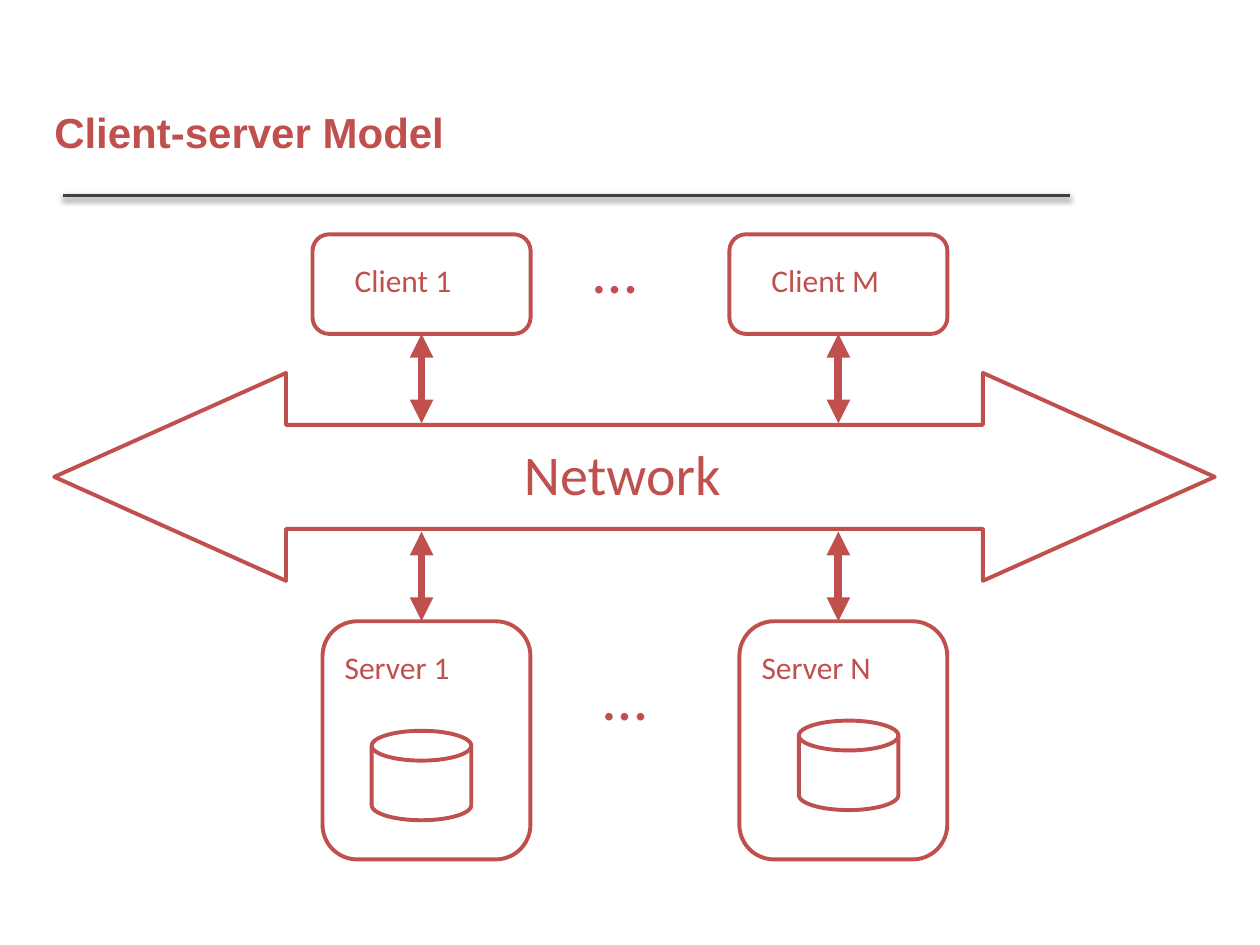
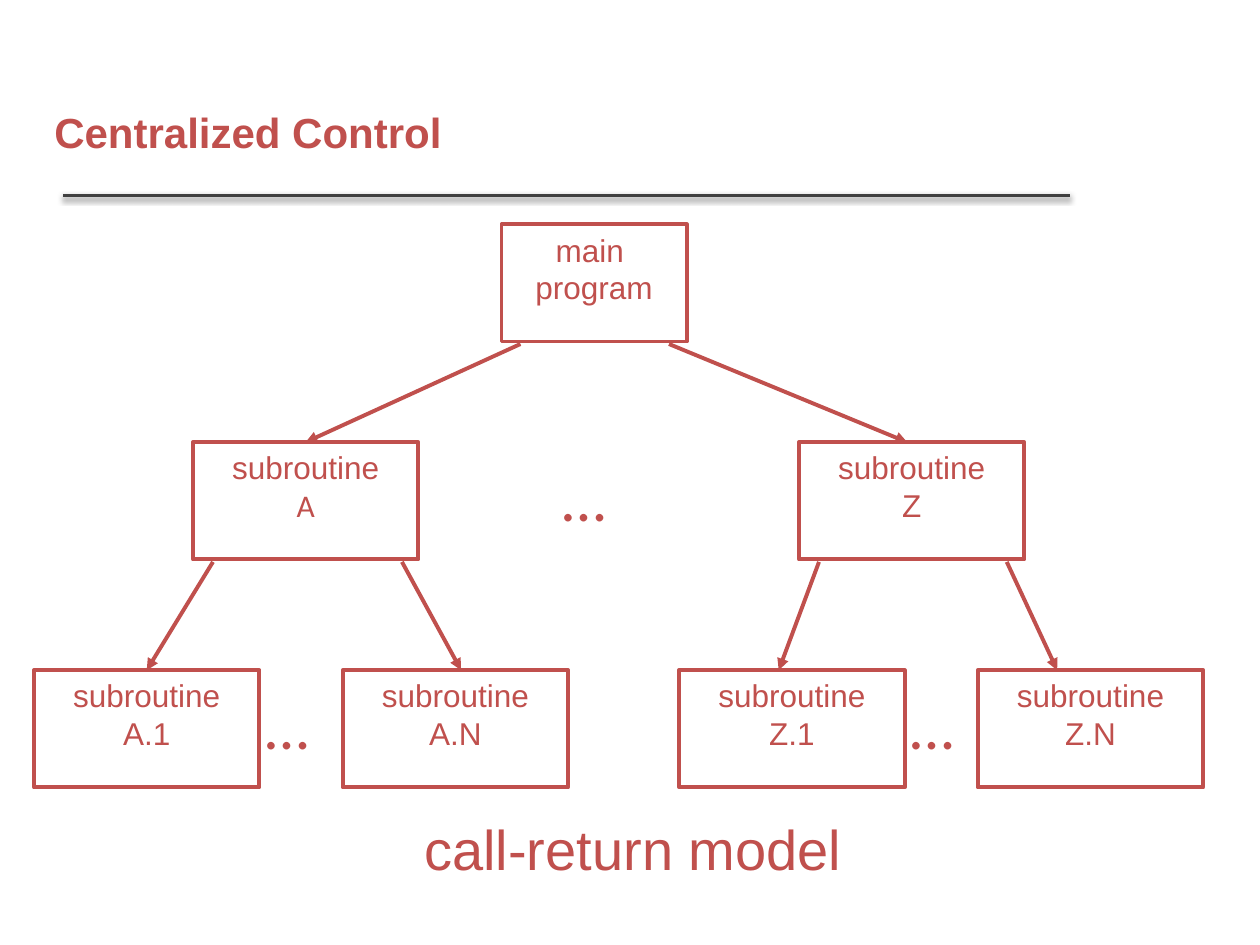
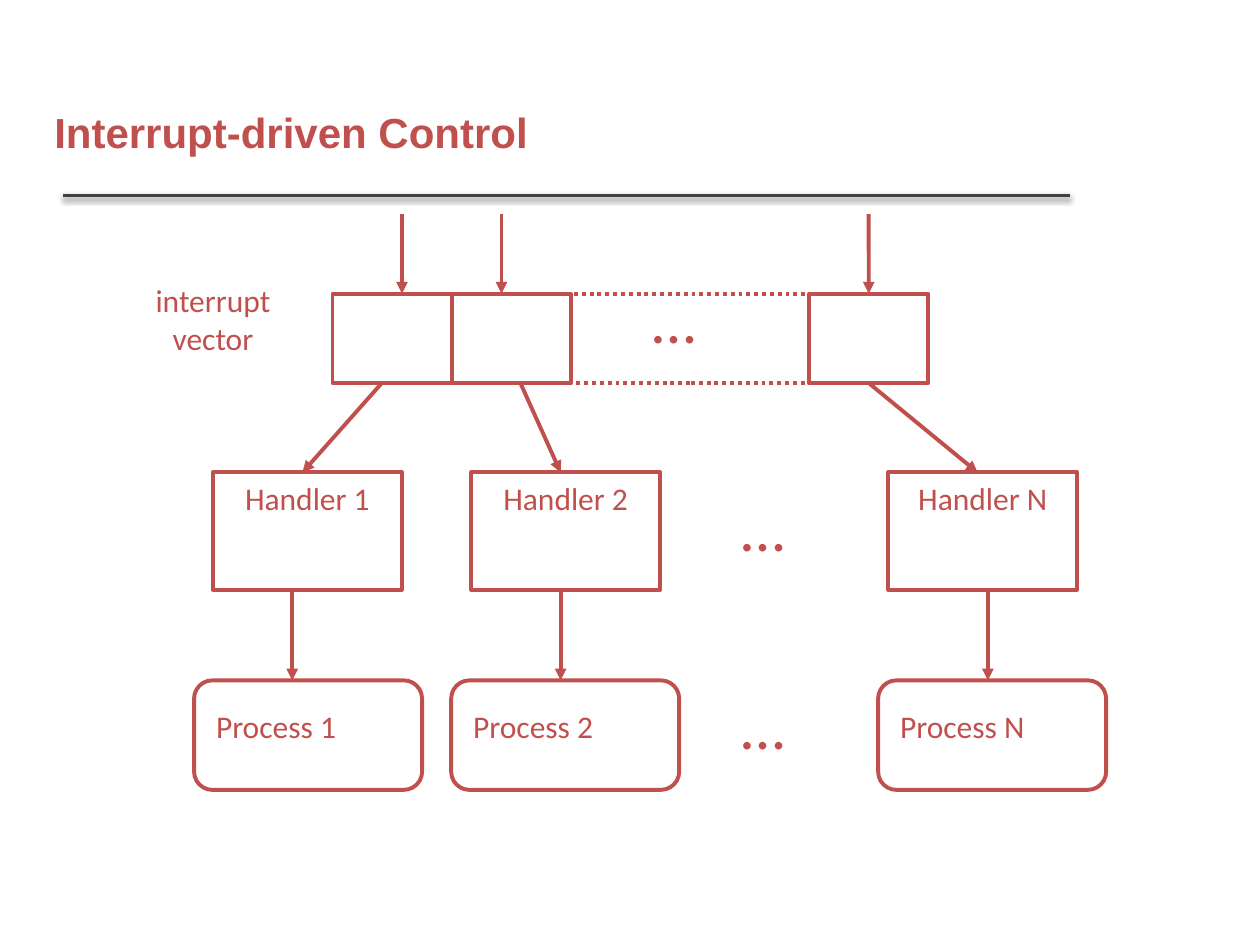
from dataclasses import dataclass

from lxml.etree import SubElement
from pptx import Presentation
from pptx.dml.color import RGBColor
from pptx.enum.dml import MSO_LINE
from pptx.enum.shapes import MSO_CONNECTOR, MSO_SHAPE
from pptx.enum.text import MSO_ANCHOR, PP_ALIGN
from pptx.oxml.ns import qn
from pptx.presentation import Presentation as Deck
from pptx.shapes.autoshape import Shape
from pptx.shapes.connector import Connector
from pptx.slide import Slide, SlideLayout
from pptx.text.text import TextFrame
from pptx.util import Pt

RECTANGLE = MSO_SHAPE.RECTANGLE
ROUNDED = MSO_SHAPE.ROUNDED_RECTANGLE
DOUBLE_ARROW = MSO_SHAPE.LEFT_RIGHT_ARROW
DISK = MSO_SHAPE.FLOWCHART_MAGNETIC_DISK
STRAIGHT = MSO_CONNECTOR.STRAIGHT
DOTTED = MSO_LINE.ROUND_DOT
TOP = MSO_ANCHOR.TOP
MIDDLE = MSO_ANCHOR.MIDDLE
LEFT = PP_ALIGN.LEFT
CENTER = PP_ALIGN.CENTER

RED = "C0504D"
GRAY = "404040"
HEADING_FONT = "Arial"
BODY_FONT = "Calibri"
OUTLINE = 2.25
JOIN_DISTANCE = 2
DOTS_SIZE = 50.4


@dataclass(frozen=True)
class Box:
    left: float
    top: float
    width: float
    height: float
    text: str = ""
    font: str = BODY_FONT
    last_font: str = ""
    kind: MSO_SHAPE = RECTANGLE
    dotted: bool = False


@dataclass(frozen=True)
class Label:
    left: float
    top: float
    width: float
    height: float
    text: str
    size: float = 18
    font: str = BODY_FONT
    align: PP_ALIGN = LEFT


@dataclass(frozen=True)
class Link:
    start_x: float
    start_y: float
    end_x: float
    end_y: float
    width: float = OUTLINE
    two_way: bool = False


def color(value: str) -> RGBColor:
    return RGBColor.from_string(value)


def write_text(frame: TextFrame, text: str, *, size: float = 18, font: str = BODY_FONT,
               last_font: str = "", bold: bool = False, align: PP_ALIGN = LEFT,
               anchor: MSO_ANCHOR = TOP) -> None:
    frame.word_wrap = True
    frame.vertical_anchor = anchor
    lines = text.split("\n")
    for index, line in enumerate(lines):
        para = frame.add_paragraph() if index else frame.paragraphs[0]
        para.alignment = align
        span = para.add_run()
        span.text = line
        is_last = index == len(lines) - 1
        span.font.name = last_font if last_font and is_last else font
        span.font.size = Pt(size)
        span.font.bold = bold
        span.font.color.rgb = color(RED)


def draw_box(page: Slide, box: Box) -> Shape:
    shape = page.shapes.add_shape(box.kind, Pt(box.left), Pt(box.top), Pt(box.width), Pt(box.height))
    shape.shadow.inherit = False
    shape.fill.background()
    shape.line.color.rgb = color(RED)
    shape.line.width = Pt(OUTLINE)
    if box.dotted:
        shape.line.dash_style = DOTTED
    if box.text:
        write_text(shape.text_frame, box.text, font=box.font, last_font=box.last_font, align=CENTER)
    return shape


def draw_label(page: Slide, label: Label) -> None:
    shape = page.shapes.add_textbox(Pt(label.left), Pt(label.top), Pt(label.width), Pt(label.height))
    write_text(shape.text_frame, label.text, size=label.size, font=label.font, align=label.align)


def draw_dots(page: Slide, left: float, top: float) -> None:
    draw_label(page, Label(left, top, DOTS_SIZE, DOTS_SIZE, "…", size=36))


def draw_line(page: Slide, link: Link, line_color: str) -> Connector:
    line = page.shapes.add_connector(STRAIGHT, Pt(link.start_x), Pt(link.start_y),
                                     Pt(link.end_x), Pt(link.end_y))
    line.line.color.rgb = color(line_color)
    line.line.width = Pt(link.width)
    SubElement(line.element.spPr, qn("a:effectLst"))
    return line


def site_at(shape: Shape, x: float, y: float) -> int | None:
    middle_x = shape.left + shape.width / 2
    middle_y = shape.top + shape.height / 2
    sites = [(middle_x, shape.top), (shape.left, middle_y),
             (middle_x, shape.top + shape.height), (shape.left + shape.width, middle_y)]
    for number, (site_x, site_y) in enumerate(sites):
        if max(abs(site_x - Pt(x)), abs(site_y - Pt(y))) <= Pt(JOIN_DISTANCE):
            return number
    return None


def draw_arrow(page: Slide, link: Link, shapes: list[Shape]) -> None:
    arrow = draw_line(page, link, RED)
    outline = arrow.element.spPr.find(qn("a:ln"))
    if link.two_way:
        SubElement(outline, qn("a:headEnd"), type="triangle")
    SubElement(outline, qn("a:tailEnd"), type="triangle")
    for shape in shapes:
        start = site_at(shape, link.start_x, link.start_y)
        end = site_at(shape, link.end_x, link.end_y)
        if start is not None:
            arrow.begin_connect(shape, start)
        if end is not None:
            arrow.end_connect(shape, end)


def add_rule_to_layout(page: Slide, layout: SlideLayout) -> None:
    rule = draw_line(page, Link(36, 111.6, 611.3, 111.6, width=2), GRAY)
    effects = rule.element.spPr.find(qn("a:effectLst"))
    shadow = SubElement(effects, qn("a:outerShdw"), blurRad=str(Pt(3.1)), dist=str(Pt(1.6)),
                        dir="5400000", rotWithShape="0")
    shade = SubElement(shadow, qn("a:srgbClr"), val="000000")
    SubElement(shade, qn("a:alpha"), val="38000")
    rule.element.nvCxnSpPr.cNvPr.set("id", "20")
    layout.shapes.element.append(rule.element)


def add_page(deck: Deck, layout: SlideLayout, title: str) -> Slide:
    page = deck.slides.add_slide(layout)
    write_text(page.shapes.title.text_frame, title, size=24, font=HEADING_FONT,
               bold=True, anchor=MIDDLE)
    return page


def draw_client_server(page: Slide) -> None:
    network = draw_box(page, Box(31, 213.1, 663.1, 118.8, kind=DOUBLE_ARROW))
    network.adjustments[0] = 0.5
    network.adjustments[1] = 1.115
    draw_label(page, Label(292.3, 247.7, 170, 45.4, "Network", size=32))
    columns = [("1", 0, 417.6, 212.4), ("M", 238.2, 411.8, 456.5)]
    for (client, shift, disk_top, disk_left), server in zip(columns, ("1", "N")):
        client_box = draw_box(page, Box(178.6 + shift, 133.9, 124.6, 56.9, kind=ROUNDED))
        draw_label(page, Label(195.6 + shift, 145.4, 102, 36, f"Client {client}"))
        draw_box(page, Box(184.3 + shift, 355, 118.8, 136.1, kind=ROUNDED))
        draw_label(page, Label(189.9 + shift, 366.5, 108, 36, f"Server {server}"))
        draw_box(page, Box(disk_left, disk_top, 56.9, 51.1, kind=DISK))
        for top in (190.8, 303.8):
            middle = 240.9 + shift
            link = Link(middle, top, middle, top + 51.1, width=4.5, two_way=True)
            draw_arrow(page, link, [client_box])
    draw_dots(page, 331.9, 128.2)
    draw_dots(page, 337.7, 372.2)


def draw_call_return(page: Slide) -> None:
    width, height = 128.9, 67
    routines = [
        Box(286.6, 128.2, 105.8, height, "main \nprogram", HEADING_FONT),
        Box(110.2, 252.7, width, height, "subroutine\nA", HEADING_FONT, BODY_FONT),
        Box(456.5, 252.7, width, height, "subroutine\nZ", HEADING_FONT),
    ]
    leaves = [("A.1", 19.4), ("A.N", 195.8), ("Z.1", 388.1), ("Z.N", 558.7)]
    routines += [Box(left, 383, width, height, f"subroutine\n{name}", HEADING_FONT)
                 for name, left in leaves]
    shapes = [draw_box(page, routine) for routine in routines]
    calls = [
        Link(297.4, 196.6, 173.5, 252.7),
        Link(382.3, 196.6, 518.4, 252.7),
        Link(121.7, 321.1, 82.1, 383),
        Link(229.7, 321.1, 263.5, 383),
        Link(468, 321.1, 445, 383),
        Link(575.3, 321.1, 604.1, 383),
    ]
    for call in calls:
        draw_arrow(page, call, shapes)
    for left, top in ((314.6, 258.5), (144.7, 388.8), (513.4, 388.8)):
        draw_dots(page, left, top)
    draw_label(page, Label(235.4, 462.2, 273.6, 45.4, "call-return model",
                           size=32, font=HEADING_FONT))


def draw_interrupts(page: Slide) -> None:
    cell_top, cell_width, cell_height = 167.8, 68.1, 51.1
    first_cell = 190
    cells = [(0, 1), (1, 1), (2, 2), (4, 1)]
    shapes = [draw_box(page, Box(first_cell + start * cell_width, cell_top, span * cell_width,
                                 cell_height, dotted=span > 1))
              for start, span in cells]
    columns = [("1", 121.7, 110.9), ("2", 269.3, 257.8), ("N", 507.6, 501.8)]
    for name, handler_left, process_left in columns:
        shapes.append(draw_box(page, Box(handler_left, 270, 108, 67, f"Handler {name}")))
        shapes.append(draw_box(page, Box(process_left, 388.8, 130.3, 62.6, kind=ROUNDED)))
        draw_label(page, Label(process_left + 5.5, 400.3, 124, 36, f"Process {name}"))
    cell_bottom = cell_top + cell_height
    for start, end in ((218.2, 172.8), (297.4, 320.4), (496.4, 558.7)):
        draw_arrow(page, Link(start, cell_bottom, end, 270), shapes)
    for middle in (167, 320.4, 564.5):
        draw_arrow(page, Link(middle, 337.5, middle, 388.8), shapes)
    for middle in (229.7, 286.6, 496.4):
        draw_arrow(page, Link(middle, 122.4, middle, cell_top), shapes)
    for left, top in ((416.9, 275.8), (416.9, 388.8), (365.8, 157)):
        draw_dots(page, left, top)
    draw_label(page, Label(70.6, 157, 102.2, 64.8, "interrupt\nvector", align=CENTER))


def main() -> None:
    deck = Presentation()
    deck.slide_width, deck.slide_height = Pt(720), Pt(540)
    layout = deck.slide_layouts[5]
    heading = layout.placeholders[0]
    heading.left, heading.top = Pt(23.8), Pt(30.2)
    heading.width, heading.height = Pt(671.8), Pt(90)
    client_server = add_page(deck, layout, "Client-server Model")
    add_rule_to_layout(client_server, layout)
    draw_client_server(client_server)
    draw_call_return(add_page(deck, layout, "Centralized Control"))
    draw_interrupts(add_page(deck, layout, "Interrupt-driven Control"))
    deck.save("out.pptx")


if __name__ == "__main__":
    main()
